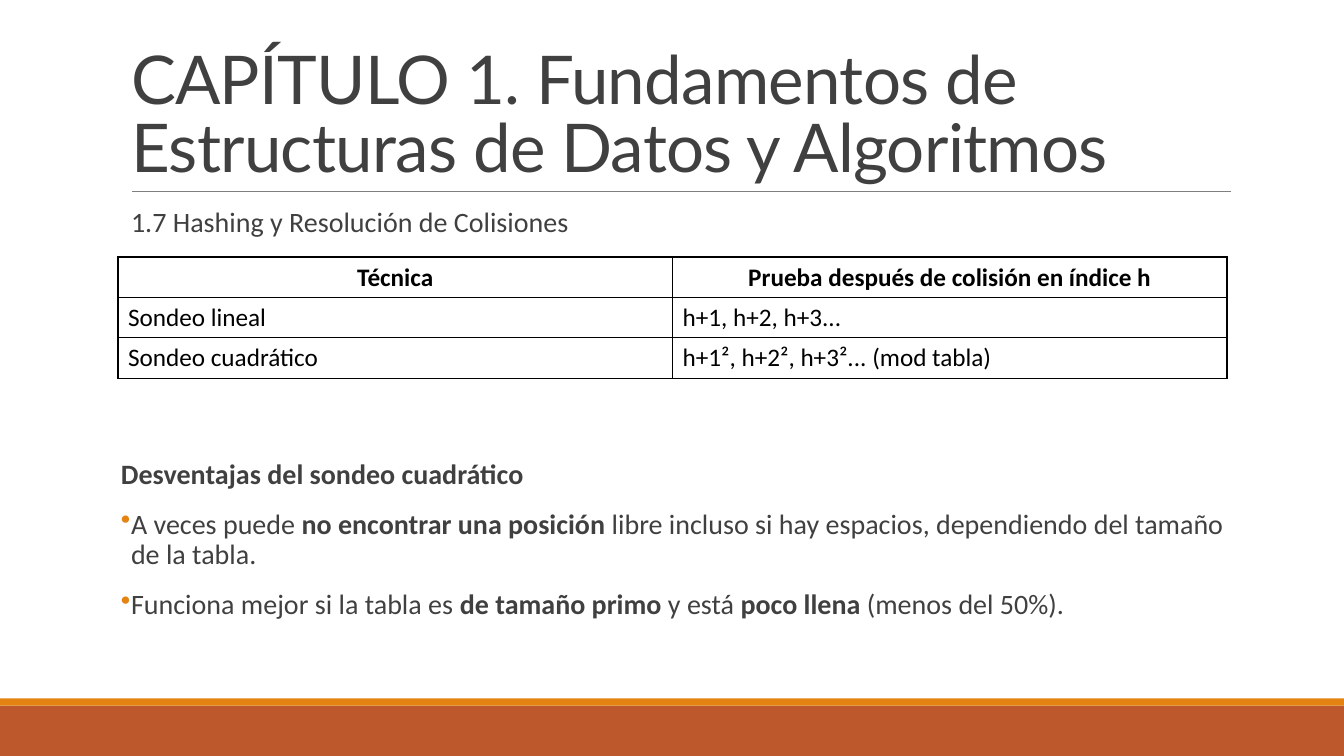
from dataclasses import dataclass

from lxml.etree import SubElement
from pptx import Presentation
from pptx.dml.color import RGBColor
from pptx.enum.shapes import MSO_CONNECTOR, MSO_SHAPE
from pptx.enum.text import MSO_ANCHOR, MSO_AUTO_SIZE, PP_ALIGN
from pptx.oxml import parse_xml
from pptx.oxml.ns import nsdecls, qn
from pptx.util import Inches, Pt

TEXT, ORANGE, RUST, GRAY, BLACK = "404040", "E48312", "BD582C", "808080", "000000"


@dataclass
class Band:
    top: float
    height: float
    color: str


@dataclass
class Run:
    text: str
    bold: bool = False


@dataclass
class Para:
    runs: list[Run]
    before: float = 12
    indent: float = -0.1
    bullet: bool = False


BANDS = [Band(7, 0.5, RUST), Band(6.93, 0.07, ORANGE)]
ROWS = [
    ("Técnica", "Prueba después de colisión en índice h"),
    ("Sondeo lineal", "h+1, h+2, h+3..."),
    ("Sondeo cuadrático", "h+1², h+2², h+3²... (mod tabla)"),
]
# The second paragraph's space before leaves room for the table.
BODY = [
    Para([Run("1.7 Hashing y Resolución de Colisiones")], before=0, indent=0),
    Para([Run("Desventajas del sondeo cuadrático", True)], before=156),
    Para([Run("A veces puede "), Run("no encontrar una posición", True),
          Run(" libre incluso si hay espacios, dependiendo del tamaño de la tabla.")],
         bullet=True),
    Para([Run("Funciona mejor si la tabla es "), Run("de tamaño primo", True),
          Run(" y está "), Run("poco llena", True), Run(" (menos del 50%).")],
         bullet=True),
]


def rgb(color: str) -> RGBColor:
    return RGBColor.from_string(color)


def add_run(p, run: Run, size: float, color: str, font: str = "Calibri"):
    r = p.add_run()
    r.text = run.text
    r.font.size = Pt(size)
    r.font.name = font
    r.font.bold = run.bold
    r.font.color.rgb = rgb(color)
    return r


def add_band(slide, band: Band) -> None:
    sp = slide.shapes.add_shape(MSO_SHAPE.RECTANGLE, 0, Inches(band.top),
                                Inches(13.33), Inches(band.height))
    sp.shadow.inherit = False
    sp.fill.solid()
    sp.fill.fore_color.rgb = rgb(band.color)
    sp.line.fill.background()


def add_rule(slide) -> None:
    line = slide.shapes.add_connector(MSO_CONNECTOR.STRAIGHT, Inches(1.31),
                                      Inches(1.9), Inches(12.21), Inches(1.9))
    line.line.color.rgb = rgb(GRAY)
    line.line.width = Pt(0.5)
    SubElement(line._element.spPr, qn("a:effectLst"))


def set_title(slide) -> None:
    title = slide.shapes.title
    title.left, title.top = Inches(1.2), Inches(0.31)
    title.width, title.height = Inches(11), Inches(1.59)
    tf = title.text_frame
    tf.word_wrap = True
    tf.auto_size = MSO_AUTO_SIZE.NONE
    tf.vertical_anchor = MSO_ANCHOR.BOTTOM
    p = tf.paragraphs[0]
    p.alignment = PP_ALIGN.LEFT
    p.line_spacing = 0.85
    r = add_run(p, Run("CAPÍTULO 1. Fundamentos de Estructuras de Datos y Algoritmos"),
                48, TEXT, "Lato")
    r.font._element.set("spc", "-50")


def add_body(slide) -> None:
    box = slide.shapes.add_textbox(Inches(1.2), Inches(2.02), Inches(11), Inches(4.91))
    tf = box.text_frame
    tf.word_wrap = True
    tf.margin_left = tf.margin_right = 0
    for i, para in enumerate(BODY):
        p = tf.add_paragraph() if i else tf.paragraphs[0]
        pPr = p._p.get_or_add_pPr()
        pPr.set("marL", str(Inches(0.1)))
        pPr.set("indent", str(Inches(para.indent)))
        if para.bullet:
            SubElement(SubElement(pPr, qn("a:buClr")), qn("a:srgbClr")).set("val", ORANGE)
            SubElement(pPr, qn("a:buChar")).set("char", "•")
        p.line_spacing = 0.9
        p.space_before, p.space_after = Pt(para.before), Pt(2)
        for run in para.runs:
            add_run(p, run, 20, TEXT)


def set_borders(cell) -> None:
    tcPr = cell._tc.get_or_add_tcPr()
    for i, side in enumerate("LRTB"):
        tcPr.insert(i, parse_xml(
            f'<a:ln{side} w="{Pt(1)}" {nsdecls("a")}><a:solidFill>'
            f'<a:srgbClr val="{BLACK}"/></a:solidFill></a:ln{side}>'))


def add_probe_table(slide) -> None:
    table = slide.shapes.add_table(len(ROWS), 2, Inches(1.17), Inches(2.55),
                                   Inches(11), Inches(1.2)).table
    table.horz_banding = False
    for i, row in enumerate(ROWS):
        for j, text in enumerate(row):
            cell = table.cell(i, j)
            cell.fill.background()
            cell.vertical_anchor = MSO_ANCHOR.MIDDLE
            set_borders(cell)
            p = cell.text_frame.paragraphs[0]
            p.alignment = PP_ALIGN.LEFT if i else PP_ALIGN.CENTER
            add_run(p, Run(text, i == 0), 18, BLACK)


def main() -> None:
    prs = Presentation()
    prs.slide_width, prs.slide_height = Inches(13.33), Inches(7.5)
    slide = prs.slides.add_slide(prs.slide_layouts[5])
    for band in BANDS:
        add_band(slide, band)
    add_rule(slide)
    set_title(slide)
    add_body(slide)
    add_probe_table(slide)
    prs.save("out.pptx")


if __name__ == "__main__":
    main()
